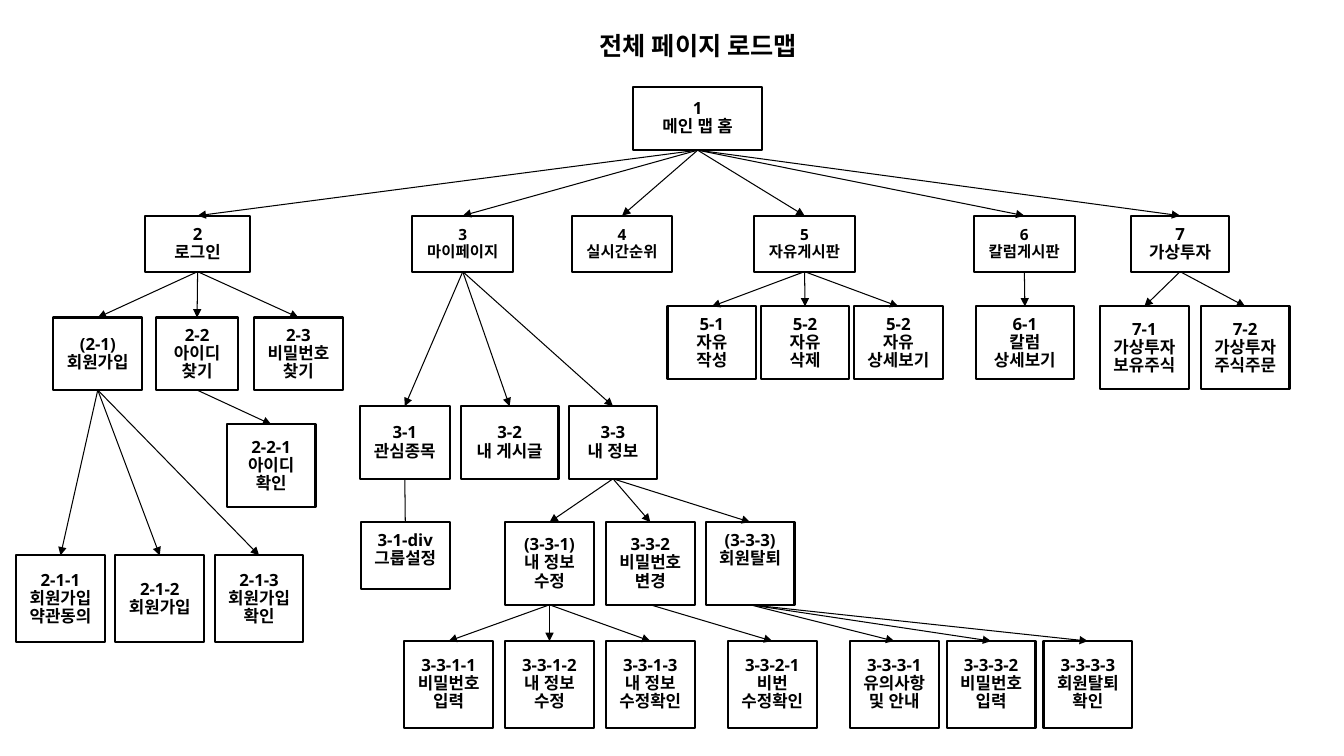
from dataclasses import dataclass, field

from pptx import Presentation
from pptx.dml.color import RGBColor
from pptx.enum.shapes import MSO_CONNECTOR as Connector, MSO_SHAPE as Shape
from pptx.enum.text import MSO_ANCHOR as Anchor, PP_ALIGN as Align
from pptx.oxml.ns import qn
from pptx.util import Inches, Pt

COLORS = {"ink": "000000", "paper": "FFFFFF"}
CELL = 0.1  # inches per grid column and row
BOTTOM, TOP = 2, 0

# Bands of the map: first row and number of rows
BANDS = {
    "home": (8.6, 6.3),
    "section": (21.4, 5.55),
    "board": (30.4, 7.2),
    "invest": (30.4, 8.2),
    "login": (31.5, 7.2),
    "mypage": (40.3, 7.2),
    "find": (42.1, 8.2),
    "group": (51.8, 6.6),
    "profile": (51.8, 8.2),
    "signup": (55.1, 8.6),
    "step": (63.6, 8.6),
}


@dataclass
class Page:
    label: str
    left: float
    band: str
    children: list = field(default_factory=list)
    width: float = 8.8
    size: int = 12
    anchor: Anchor = Anchor.MIDDLE
    arrow: bool = True


def siblings(left, step, band, *labels):
    return [Page(label, left + step * i, band) for i, label in enumerate(labels)]


class RoadmapSlide:
    title_font = "Noto Sans CJK KR"
    box_font = "Open Sans"
    line_spacing = 0.9

    def __init__(self, deck):
        self.slide = deck.slides.add_slide(deck.slide_layouts[6])
        fill = self.slide.background.fill
        fill.solid()
        fill.fore_color.rgb = self.color("paper")

    def color(self, name):
        return RGBColor.from_string(COLORS[name])

    def grid(self, *cells):
        return [Inches(cell * CELL) for cell in cells]

    def set_text(self, shape, text, font, size, inset):
        frame = shape.text_frame
        frame.text = text
        frame.word_wrap = True
        frame.margin_left = frame.margin_right = Inches(0.1)
        frame.margin_top = frame.margin_bottom = Inches(inset)
        for para in frame.paragraphs:
            para.alignment = Align.CENTER
            para.line_spacing = self.line_spacing
            for span in para.runs:
                span.font.name = font
                span.font.size = Pt(size)
                span.font.bold = True
                span.font.color.rgb = self.color("ink")
                properties = span.font._element
                properties.append(properties.makeelement(qn("a:ea"), {"typeface": font}))

    def title(self, text, left, top, width, height):
        box = self.slide.shapes.add_textbox(*self.grid(left, top, width, height))
        self.set_text(box, text, self.title_font, 18, 0.05)

    def box(self, page):
        top, height = BANDS[page.band]
        box = self.slide.shapes.add_shape(
            Shape.RECTANGLE, *self.grid(page.left, top, page.width, height))
        box.shadow.inherit = False
        box.fill.background()
        box.line.color.rgb = self.color("ink")
        box.line.width = Pt(1.5)
        self.set_text(box, page.label, self.box_font, page.size, 0.1)
        box.text_frame.vertical_anchor = page.anchor
        return box

    def link(self, parent, child, arrow):
        link = self.slide.shapes.add_connector(Connector.STRAIGHT, 0, 0, 0, 0)
        link.begin_connect(parent, BOTTOM)
        link.end_connect(child, TOP)
        link.line.color.rgb = self.color("ink")
        link.line.width = Pt(0.75)
        properties = link._element.spPr
        if arrow:
            outline = properties.find(qn("a:ln"))
            outline.append(outline.makeelement(qn("a:tailEnd"), {"type": "triangle"}))
        properties.append(properties.makeelement(qn("a:effectLst"), {}))

    def tree(self, page, parent=None):
        box = self.box(page)
        if parent is not None:
            self.link(parent, box, page.arrow)
        for child in page.children:
            self.tree(child, box)


# Login section
login = Page("2\n로그인", 14.4, "section", [
    Page("(2-1)\n회원가입", 5.3, "login", siblings(
        1.6, 9.85, "signup",
        "2-1-1\n회원가입\n약관동의", "2-1-2\n회원가입", "2-1-3\n회원가입\n확인")),
    Page("2-2\n아이디\n찾기", 15.5, "login",
         [Page("2-2-1\n아이디\n확인", 22.5, "find")], width=8.1),
    Page("2-3\n비밀번호찾기", 25.2, "login"),
], width=10.4)

# My page section
profile = Page("3-3\n내 정보", 56.4, "mypage", [
    Page("(3-3-1)\n내 정보\n수정", 50.1, "profile", siblings(
        40.1, 10, "step",
        "3-3-1-1\n비밀번호\n입력", "3-3-1-2\n내 정보\n수정", "3-3-1-3\n내 정보\n수정확인")),
    Page("3-3-2\n비밀번호\n변경", 60.1, "profile",
         [Page("3-3-2-1\n비번\n수정확인", 72.2, "step")]),
    Page("(3-3-3)\n회원탈퇴", 70, "profile", siblings(
        84.3, 9.6, "step",
        "3-3-3-1\n유의사항\n및 안내", "3-3-3-2\n비밀번호\n입력", "3-3-3-3\n회원탈퇴\n확인"),
        anchor=Anchor.TOP),
])
group = Page("3-1-div\n그룹설정", 35.8, "group", anchor=Anchor.TOP, arrow=False)
my_page = Page("3\n마이페이지", 40.9, "section", [
    Page("3-1\n관심종목", 35.7, "mypage", [group], width=8.9),
    Page("3-2\n내 게시글", 45.7, "mypage", width=9.7),
    profile,
], width=10, size=11)

# Ranking, board, column and investment sections
ranking = Page("4\n실시간순위", 56.7, "section", width=10, size=11)
board = Page("5\n자유게시판", 74.8, "section", siblings(
    66.2, 9.25, "board",
    "5-1\n자유\n작성", "5-2\n자유\n삭제", "5-2\n자유\n상세보기"), width=10, size=11)
column = Page("6\n칼럼게시판", 96.6, "section", [
    Page("6-1\n칼럼\n상세보기", 96.8, "board", width=9.7)], width=10, size=11)
invest = Page("7\n가상투자", 112.2, "section", siblings(
    109.1, 10, "invest",
    "7-1\n가상투자\n보유주식", "7-2\n가상투자\n주식주문"), width=9.7)

home = Page("1\n메인 맵 홈", 62.8, "home",
            [login, my_page, ranking, board, column, invest], width=12.8)


def main():
    deck = Presentation()
    deck.slide_width, deck.slide_height = Inches(13.33), Inches(7.5)
    roadmap = RoadmapSlide(deck)
    roadmap.title("전체 페이지 로드맵", 56.3, 2.9, 25.9, 4)
    roadmap.tree(home)
    deck.save("out.pptx")


if __name__ == "__main__":
    main()
